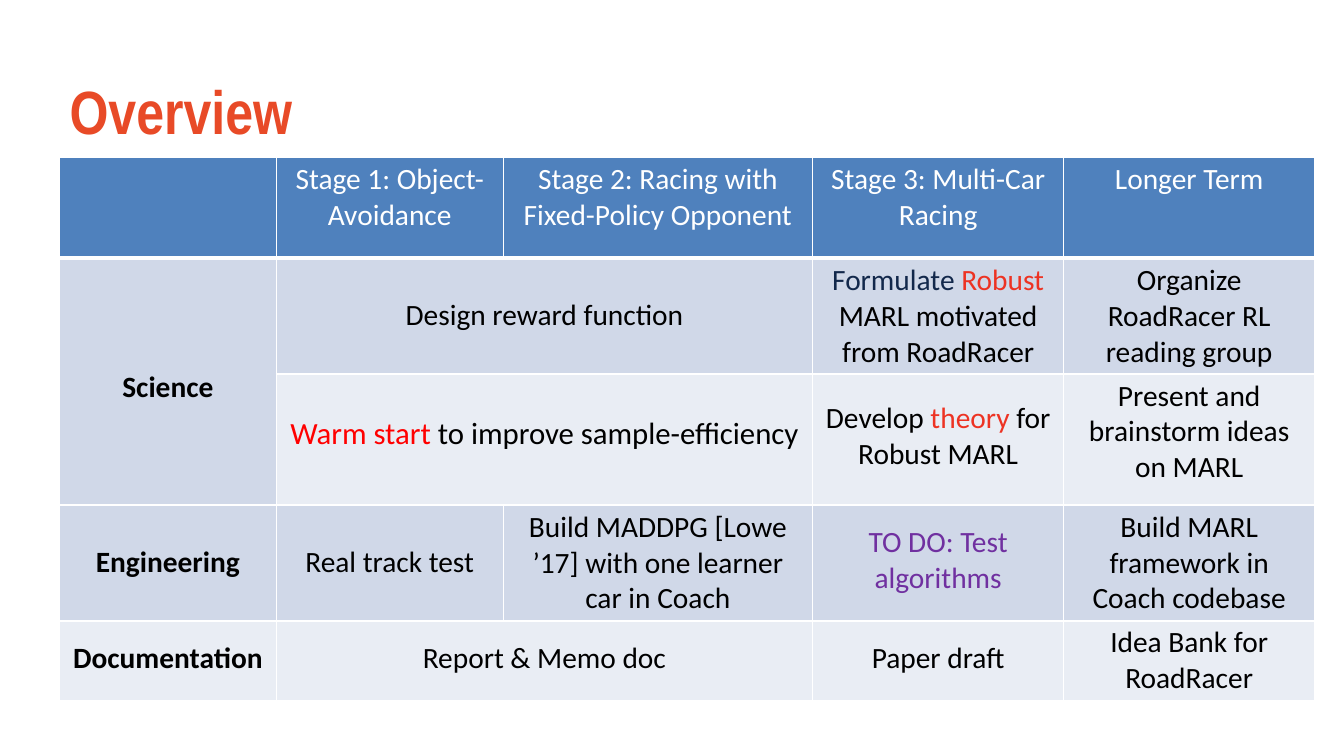
from lxml import etree
from pptx import Presentation
from pptx.dml.color import RGBColor
from pptx.enum.text import MSO_ANCHOR, MSO_AUTO_SIZE, PP_ALIGN
from pptx.oxml.ns import qn
from pptx.util import Inches, Pt

TOP = MSO_ANCHOR.TOP
NO_FIT = MSO_AUTO_SIZE.NONE
LEFT, CENTER = PP_ALIGN.LEFT, PP_ALIGN.CENTER

WHITE = RGBColor(0xFF, 0xFF, 0xFF)
BLACK = RGBColor(0x00, 0x00, 0x00)
ORANGE = RGBColor(0xE8, 0x4A, 0x27)
NAVY = RGBColor(0x12, 0x28, 0x4B)
CORAL = RGBColor(0xED, 0x33, 0x23)
RED = RGBColor(0xFF, 0x00, 0x00)
PURPLE = RGBColor(0x70, 0x30, 0xA0)
HEADER_BLUE = RGBColor(0x4F, 0x81, 0xBD)
BAND_DARK = RGBColor(0xD0, 0xD8, 0xE8)
BAND_LIGHT = RGBColor(0xE9, 0xED, 0xF4)

SLIDE_WIDTH, SLIDE_HEIGHT = 13.33, 7.5
MARGIN_LEFT = 0.59
COLUMNS = (2.15, 2.25, 3.07, 2.49, 2.49)
ROWS = (1, 1.15, 1.3, 1.15, 0.79)
ROW_FILLS = (HEADER_BLUE, BAND_DARK, BAND_LIGHT, BAND_DARK, BAND_LIGHT)
PAD_X, PAD_Y = 0.09, 0.04
LINE_HEIGHT = 1.22
BODY_SIZE = 21

STAGES = (
    "Stage 1: Object-Avoidance",
    "Stage 2: Racing with Fixed-Policy Opponent",
    "Stage 3: Multi-Car Racing",
    "Longer Term",
)

# row, column, rows spanned, columns spanned, points above the text, runs, format
PLAN = (
    (1, 0, 2, 1, 63, [("Science", BLACK)], {"bold": True}),
    (1, 1, 1, 2, 21, [("Design reward function", BLACK)], {}),
    (1, 3, 1, 1, 0, [("Formulate ", NAVY), ("Robust ", CORAL),
                     ("MARL motivated from RoadRacer", BLACK)], {}),
    (1, 4, 1, 1, 0, [("Organize RoadRacer RL reading group", BLACK)], {}),
    (2, 1, 1, 2, 22, [("Warm start ", RED),
                      ("to improve sample-efficiency", BLACK)], {"size": 22}),
    (2, 3, 1, 1, 13, [("Develop ", BLACK), ("theory ", CORAL),
                      ("for Robust MARL", BLACK)], {}),
    (2, 4, 1, 1, 0, [("Present and brainstorm ideas on MARL", BLACK)], {}),
    (3, 0, 1, 1, 21, [("Engineering", BLACK)], {"bold": True}),
    (3, 1, 1, 1, 21, [("Real track test", BLACK)], {}),
    (3, 2, 1, 1, 0, [("Build MADDPG [Lowe ’17] with one learner car in Coach", BLACK)], {}),
    (3, 3, 1, 1, 9, [("TO DO: Test algorithms", PURPLE)], {}),
    (3, 4, 1, 1, 0, [("Build MARL framework in Coach codebase", BLACK)], {}),
    (4, 0, 1, 1, 9, [("Documentation", BLACK)], {"bold": True}),
    (4, 1, 1, 2, 9, [("Report & Memo doc", BLACK)], {}),
    (4, 3, 1, 1, 9, [("Paper draft", BLACK)], {}),
    (4, 4, 1, 1, 0, [("Idea Bank for RoadRacer", BLACK)], {}),
)


def write_text(frame, runs, size=BODY_SIZE, font="Calibri", bold=False, align=CENTER):
    """Fill a text frame with one paragraph of (text, colour) runs."""
    paragraph = frame.paragraphs[0]
    paragraph.alignment = align
    for words, color in runs:
        run = paragraph.add_run()
        run.text = words
        run.font.name = font
        run.font.size = Pt(size)
        run.font.bold = bold
        run.font.color.rgb = color


def add_heading(slide, words):
    """Place and format the slide title."""
    heading = slide.shapes.title
    heading.left, heading.top = Inches(MARGIN_LEFT), Inches(0.61)
    heading.width, heading.height = Inches(12.19), Inches(0.7)
    frame = heading.text_frame
    frame.auto_size = NO_FIT
    frame.word_wrap = True
    frame.vertical_anchor = TOP
    frame.margin_top = Inches(0.12)
    frame.margin_bottom = 0
    write_text(frame, [(words, ORANGE)], size=43.6, font="Arial Narrow",
               bold=True, align=LEFT)


def draw_borders(cell, bottom_width):
    """Give a cell white borders with a chosen bottom width in points."""
    properties = cell._tc.get_or_add_tcPr()
    widths = {"a:lnL": 1, "a:lnR": 1, "a:lnT": 1, "a:lnB": bottom_width}
    for position, (tag, width) in enumerate(widths.items()):
        line = etree.Element(qn(tag), w=str(Pt(width)))
        fill = etree.SubElement(line, qn("a:solidFill"))
        etree.SubElement(fill, qn("a:srgbClr"), val=str(WHITE))
        properties.insert(position, line)


def add_grid(slide):
    """Add the table with its sizes, band fills and borders."""
    table = slide.shapes.add_table(
        len(ROWS), len(COLUMNS), Inches(MARGIN_LEFT), Inches(1.56),
        Inches(sum(COLUMNS)), Inches(sum(ROWS))).table
    for column, width in zip(table.columns, COLUMNS):
        column.width = Inches(width)
    for index, (row, height, color) in enumerate(zip(table.rows, ROWS, ROW_FILLS)):
        row.height = Inches(height)
        for cell in row.cells:
            cell.fill.solid()
            cell.fill.fore_color.rgb = color
            cell.margin_left = cell.margin_right = Inches(PAD_X)
            cell.margin_top = cell.margin_bottom = Inches(PAD_Y)
            draw_borders(cell, 3 if index == 0 else 1)
    return table


def fill_plan(table):
    """Write the stage headings and the planned work."""
    for column, stage in enumerate(STAGES, start=1):
        write_text(table.cell(0, column).text_frame, [(stage, WHITE)])
    for row, column, row_span, column_span, lead, runs, style in PLAN:
        cell = table.cell(row, column)
        if row_span * column_span > 1:
            cell.merge(table.cell(row + row_span - 1, column + column_span - 1))
        cell.margin_top = Inches(PAD_Y) + Pt(lead * LINE_HEIGHT)
        write_text(cell.text_frame, runs, **style)


def main():
    """Build the overview slide."""
    deck = Presentation()
    deck.slide_width, deck.slide_height = Inches(SLIDE_WIDTH), Inches(SLIDE_HEIGHT)
    slide = deck.slides.add_slide(deck.slide_layouts[5])
    add_heading(slide, "Overview")
    fill_plan(add_grid(slide))
    deck.save("out.pptx")


if __name__ == "__main__":
    main()
